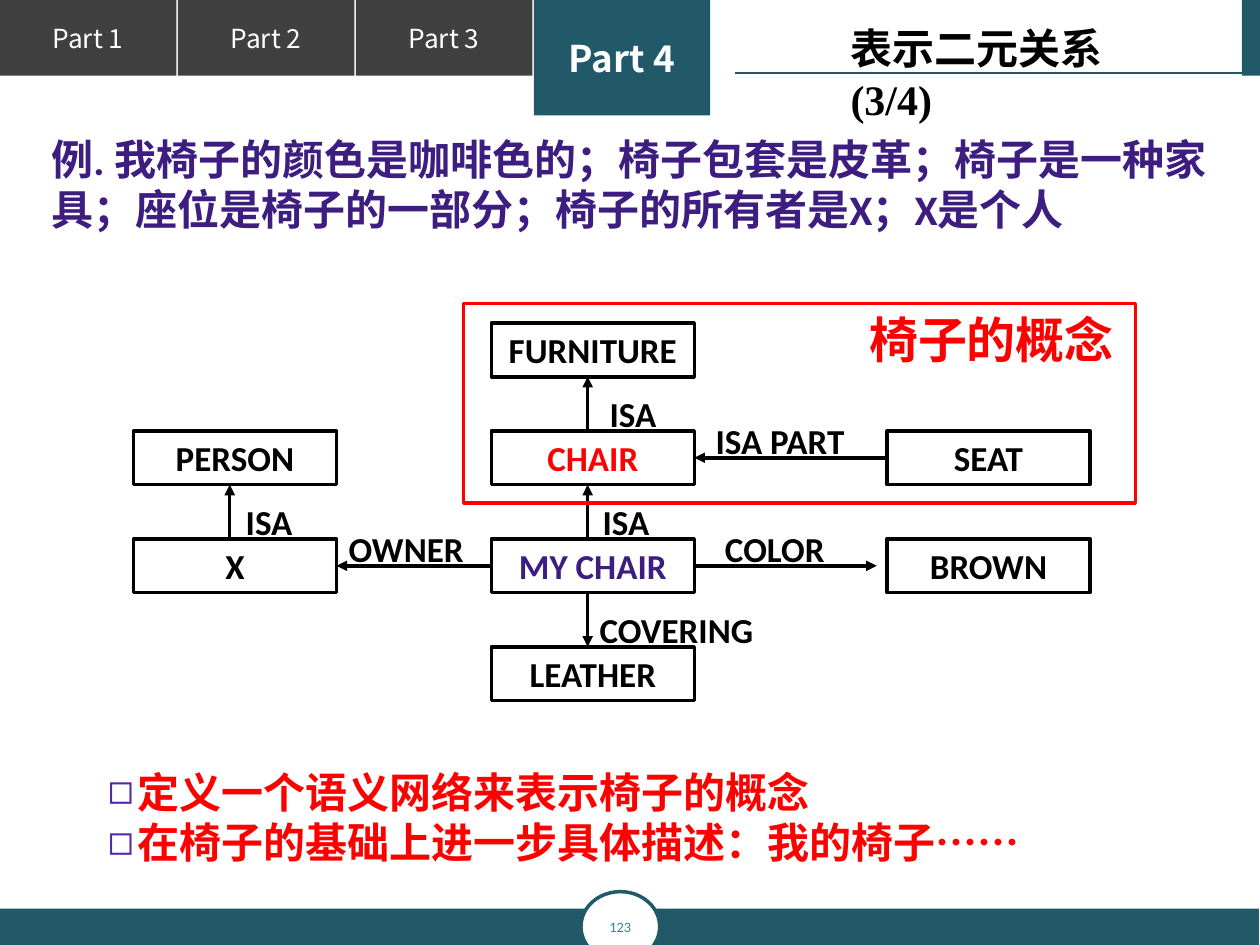
"""Build a slide that shows a semantic network of binary relations about a chair."""
from dataclasses import dataclass

from lxml.etree import SubElement
from pptx import Presentation
from pptx.dml.color import RGBColor
from pptx.enum.shapes import MSO_CONNECTOR, MSO_SHAPE
from pptx.enum.text import MSO_ANCHOR, MSO_AUTO_SIZE, PP_ALIGN
from pptx.oxml.ns import qn
from pptx.util import Pt


@dataclass(frozen=True)
class Theme:
    """Colours, fonts and type sizes."""
    black: str = "000000"
    white: str = "FFFFFF"
    gray: str = "404040"
    teal: str = "215968"
    light_teal: str = "31859C"
    red: str = "FF0000"
    purple: str = "3E1D81"
    bullet: str = "5226AA"
    body_font: str = "Calibri"
    tab_font: str = "Noto Sans CJK SC"
    title_font: str = "Times New Roman"
    heading: float = 24
    concept: float = 28
    node: float = 20
    tab: float = 15
    active_tab: float = 21
    number: float = 8.2


class SlideBuilder:
    """Draws styled elements on one slide."""

    def __init__(self, slide, theme):
        self.slide = slide
        self.theme = theme

    def place(self, shape, left, top, width, height):
        """Move and size a shape."""
        shape.left, shape.top = Pt(left), Pt(top)
        shape.width, shape.height = Pt(width), Pt(height)

    def style(self, paragraph, size, color, bold=True, font=None):
        """Set the font of a paragraph."""
        paragraph.font.size = Pt(size)
        paragraph.font.bold = bold
        paragraph.font.name = font or self.theme.body_font
        paragraph.font.color.rgb = RGBColor.from_string(color)

    def shape(self, left, top, width, height, fill=None, line=None, kind=MSO_SHAPE.RECTANGLE):
        """Add a preset shape with optional fill and outline."""
        shape = self.slide.shapes.add_shape(kind, Pt(left), Pt(top), Pt(width), Pt(height))
        shape.shadow.inherit = False
        if fill:
            shape.fill.solid()
            shape.fill.fore_color.rgb = RGBColor.from_string(fill)
        else:
            shape.fill.background()
        if line:
            shape.line.color.rgb = RGBColor.from_string(line)
            shape.line.width = Pt(2)
        else:
            shape.line.fill.background()
        return shape

    def caption(self, shape, text, size, color, bold=True, font=None, wrap=True):
        """Centre text inside a shape."""
        frame = shape.text_frame
        frame.word_wrap = wrap
        frame.vertical_anchor = MSO_ANCHOR.MIDDLE
        frame.text = text
        self.style(frame.paragraphs[0], size, color, bold, font)
        frame.paragraphs[0].alignment = PP_ALIGN.CENTER

    def text(self, text, left, top, width, height, size, color, wrap=True):
        """Add a text box."""
        box = self.slide.shapes.add_textbox(Pt(left), Pt(top), Pt(width), Pt(height))
        box.text_frame.word_wrap = wrap
        box.text_frame.text = text
        self.style(box.text_frame.paragraphs[0], size, color)

    def line(self, start, end, color, width, arrow=False):
        """Add a straight line with an optional arrowhead."""
        points = [Pt(value) for value in (*start, *end)]
        connector = self.slide.shapes.add_connector(MSO_CONNECTOR.STRAIGHT, *points)
        connector.line.color.rgb = RGBColor.from_string(color)
        connector.line.width = Pt(width)
        properties = connector._element.spPr
        if arrow:
            SubElement(properties.find(qn("a:ln")), qn("a:tailEnd"), type="triangle")
        SubElement(properties, qn("a:effectLst"))

    def title(self, text, left, top, width, height):
        """Format the title placeholder."""
        title = self.slide.shapes.title
        self.place(title, left, top, width, height)
        frame = title.text_frame
        frame.auto_size = MSO_AUTO_SIZE.NONE
        frame.word_wrap = True
        frame.vertical_anchor = MSO_ANCHOR.TOP
        frame.margin_right = Pt(30)
        frame.text = text
        self.style(frame.paragraphs[0], self.theme.heading, self.theme.black,
                   font=self.theme.title_font)
        frame.paragraphs[0].alignment = PP_ALIGN.LEFT

    def bullets(self, lines, left, top, width, height):
        """Format the body placeholder as a list with square bullets."""
        body = self.slide.placeholders[1]
        self.place(body, left, top, width, height)
        frame = body.text_frame
        frame.auto_size = MSO_AUTO_SIZE.NONE
        frame.text = "\n".join(lines)
        for paragraph in frame.paragraphs:
            paragraph.level = 1
            paragraph.space_before = Pt(0)
            properties = paragraph._p.get_or_add_pPr()
            properties.set("marL", str(Pt(72)))
            properties.set("indent", str(Pt(-16.8)))
            color = SubElement(properties, qn("a:buClr"))
            SubElement(color, qn("a:srgbClr"), val=self.theme.bullet)
            SubElement(properties, qn("a:buChar"), char="◻")
            self.style(paragraph, self.theme.heading, self.theme.red)


def draw_frame(builder):
    """Draw the navigation tabs, the title rule and the footer."""
    theme = builder.theme
    for index in range(4):
        active = index == 3
        tab = builder.shape(index * 101.7, 0, 100.8, 66 if active else 43.2,
                            theme.teal if active else theme.gray)
        builder.caption(tab, f"Part {index + 1}", theme.active_tab if active else theme.tab,
                        theme.white, active, theme.tab_font)
    builder.shape(709.6, 0, 10.4, 43.2, theme.teal)
    builder.shape(0, 519.2, 719.4, 20.8, theme.teal)
    number = builder.shape(332, 509.5, 45, 40, theme.white, theme.teal, MSO_SHAPE.OVAL)
    builder.caption(number, "123", theme.number, theme.light_teal, False)
    builder.line((715, 41.8), (420, 41.8), theme.teal, 0.75)


def draw_network(builder):
    """Draw the nodes, relations and the frame around the chair concept."""
    theme = builder.theme
    left, middle, right = 76.3, 280.8, 506.9
    width, height, stem = 116, 30.8, 55
    rows = [184.5 + 61.7 * index for index in range(4)]
    nodes = [
        ("FURNITURE", middle, 0, theme.black), ("CHAIR", middle, 1, theme.red),
        ("PERSON", left, 1, theme.black), ("SEAT", right, 1, theme.black),
        ("MY CHAIR", middle, 2, theme.purple), ("BROWN", right, 2, theme.black),
        ("X", left, 2, theme.black), ("LEATHER", middle, 3, theme.black),
    ]
    for name, x, row, color in nodes:
        node = builder.shape(x, rows[row], width, height, line=theme.black)
        builder.caption(node, name, theme.node, color, wrap=False)

    for x, row in ((left, 2), (middle, 2), (middle, 1)):
        builder.line((x + stem, rows[row]), (x + stem, rows[row - 1] + height),
                     theme.black, 2, True)
    builder.line((middle + stem, rows[2] + height), (middle + stem, rows[3]),
                 theme.black, 2, True)
    for start, end, row in ((middle, left + width, 2), (middle + width, 501, 2),
                            (right, middle + width, 1)):
        y = rows[row] + height / 2
        builder.line((start, y), (end, y), theme.black, 2, True)

    labels = [
        ("ISA", 133.3, 282.2, 54), ("OWNER", 192.2, 297.7, 93.6),
        ("COLOR", 407.2, 297.7, 82.8), ("ISA", 337.3, 282.2, 54),
        ("ISA", 341.3, 220.5, 77), ("ISA PART", 401.8, 236, 105),
        ("COVERING", 335.5, 344, 121.7),
    ]
    for name, x, y, label_width in labels:
        builder.text(name, x, y, label_width, 31.5, theme.node, theme.black)
    builder.shape(265, 173.5, 383.8, 113.8, line=theme.red)
    builder.text("椅子的概念", 489.6, 173.5, 156.2, 41, theme.concept, theme.red, False)


def main():
    """Build and save the presentation."""
    presentation = Presentation()
    presentation.slide_width, presentation.slide_height = Pt(720), Pt(540)
    slide = presentation.slides.add_slide(presentation.slide_layouts[1])
    builder = SlideBuilder(slide, Theme())
    draw_frame(builder)
    draw_network(builder)
    builder.text("例. 我椅子的颜色是咖啡色的；椅子包套是皮革；椅子是一种家具；座位是椅子的一部分；"
                 "椅子的所有者是X；X是个人", 22.3, 72.7, 690.5, 65.5,
                 builder.theme.heading, builder.theme.purple)
    builder.bullets(["定义一个语义网络来表示椅子的概念",
                     "在椅子的基础上进一步具体描述：我的椅子……"], -0.7, 434.2, 711.4, 65.5)
    builder.title("表示二元关系(3/4)", 478.8, 9.4, 208, 36)
    presentation.save("out.pptx")


if __name__ == "__main__":
    main()
